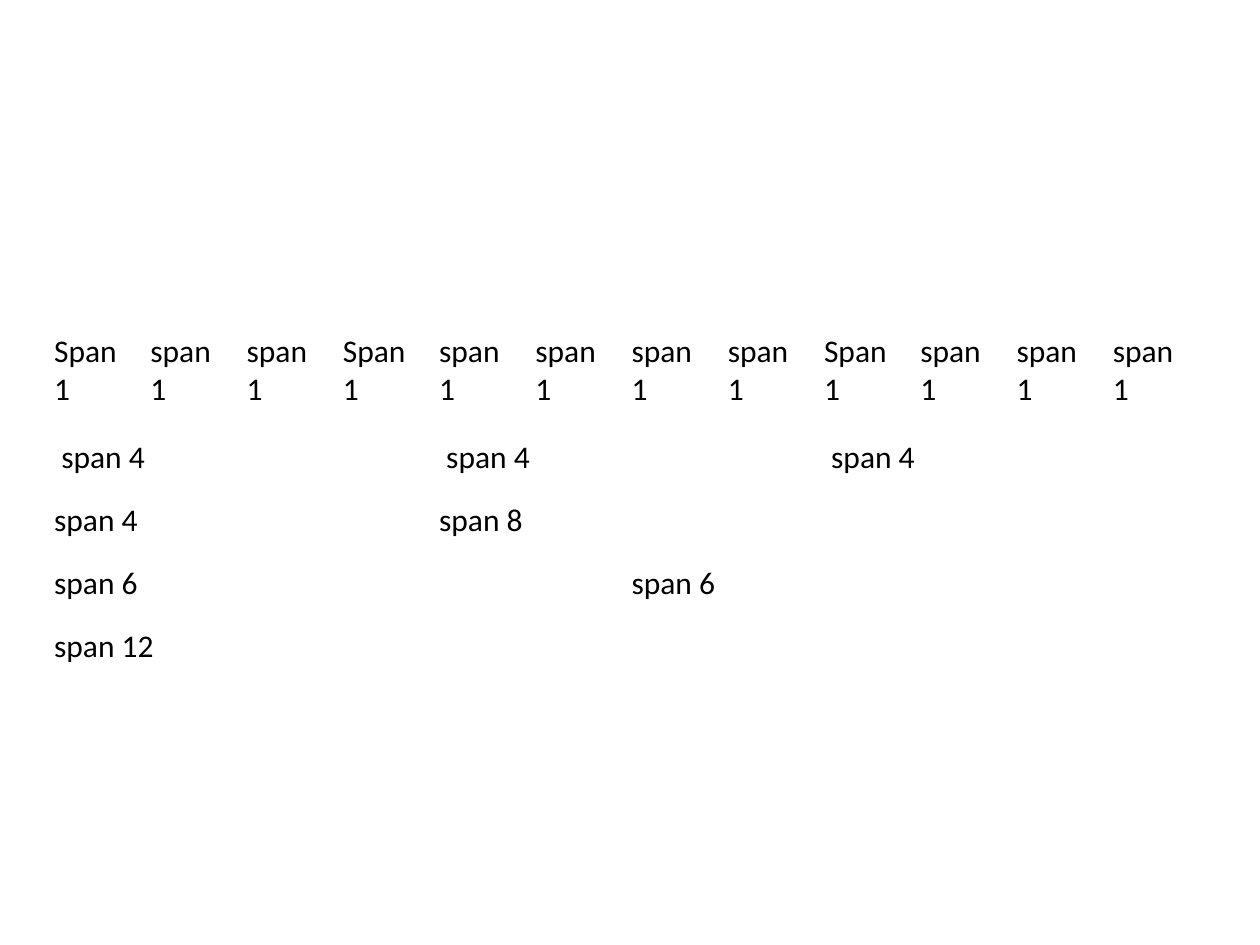
from pptx import Presentation, util as u
from pptx.dml.color import RGBColor
from pptx.enum import text

BLACK = RGBColor(0, 0, 0)
FONT = "Calibri"

# Each row: height, then (label, columns covered)
ONES = ["Span1", "span1", "span1", "Span1", "span1", "span1",
        "span1", "span1", "Span1", "span1", "span1", "span1"]
ROWS = [
    (0.88, [(label, 1) for label in ONES]),
    (0.5, [(" span 4", 4)] * 3),
    (0.5, [("span 4", 4), ("span 8", 8)]),
    (0.5, [("span 6", 6), ("span 6", 6)]),
    (0.5, [("span 12", 12)]),
]
COLS = 12
LEFT, TOP, WIDTH = 0.33, 2.5, 9.17

deck = Presentation()
deck.slide_width, deck.slide_height = u.Inches(10), u.Inches(7.5)
slide = deck.slides.add_slide(deck.slide_layouts[6])

# Column grid
high = sum(tall for tall, _ in ROWS)
grid = slide.shapes.add_table(len(ROWS), COLS, u.Inches(LEFT), u.Inches(TOP),
                              u.Inches(WIDTH), u.Inches(high)).table
grid.first_row = grid.horz_banding = False
for col in grid.columns:
    col.width = u.Inches(WIDTH / COLS)

# Spanned cells
for r, (tall, spans) in enumerate(ROWS):
    grid.rows[r].height = u.Inches(tall)
    for cell in grid.rows[r].cells:
        cell.fill.background()
    c = 0
    for label, wide in spans:
        cell = grid.cell(r, c)
        if wide > 1:
            cell.merge(grid.cell(r, c + wide - 1))
        cell.vertical_anchor = text.MSO_ANCHOR.MIDDLE
        cell.text_frame.text = label
        font = cell.text_frame.paragraphs[0].runs[0].font
        font.name, font.size = FONT, u.Pt(18)
        font.color.rgb = BLACK
        c += wide

deck.save("out.pptx")
